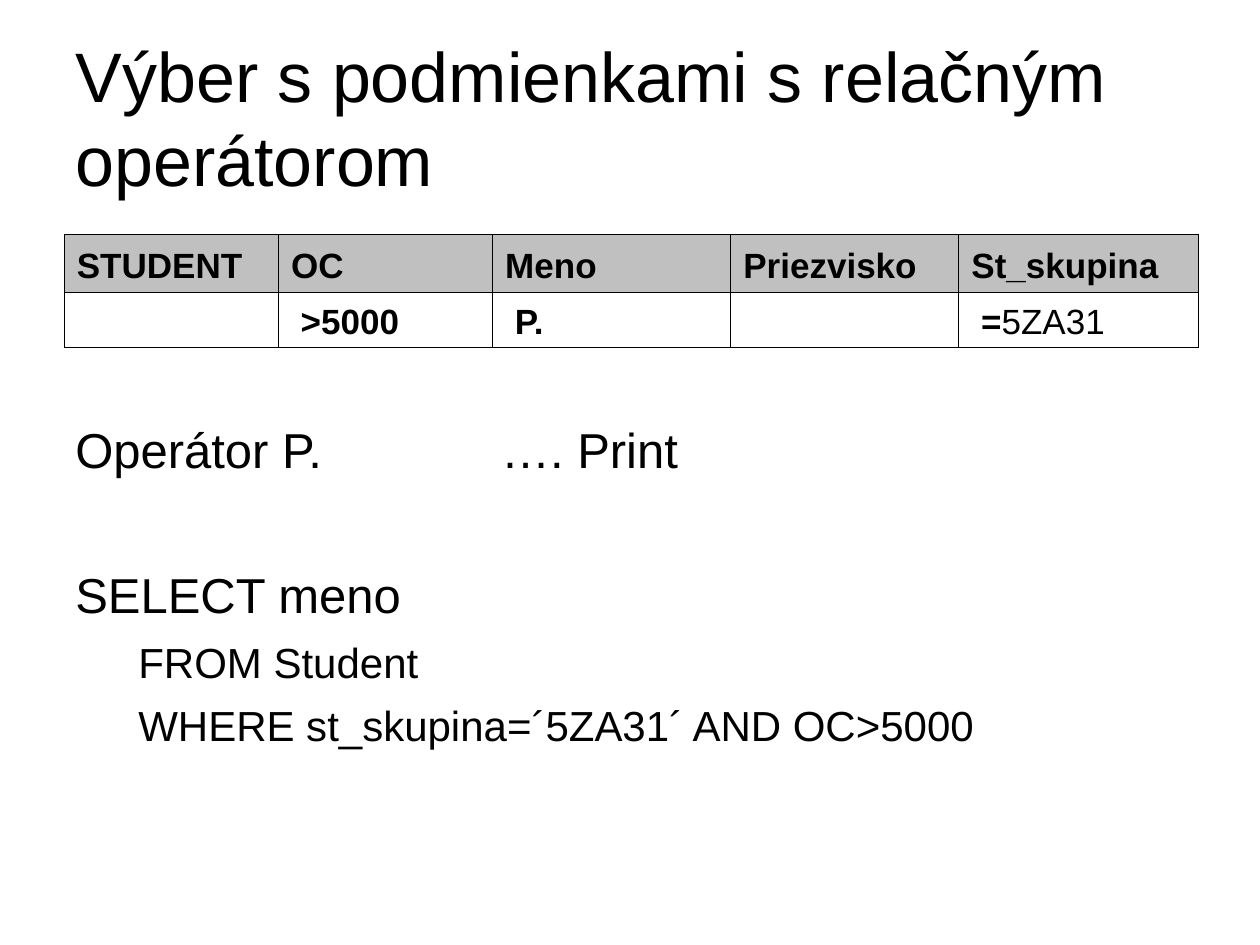
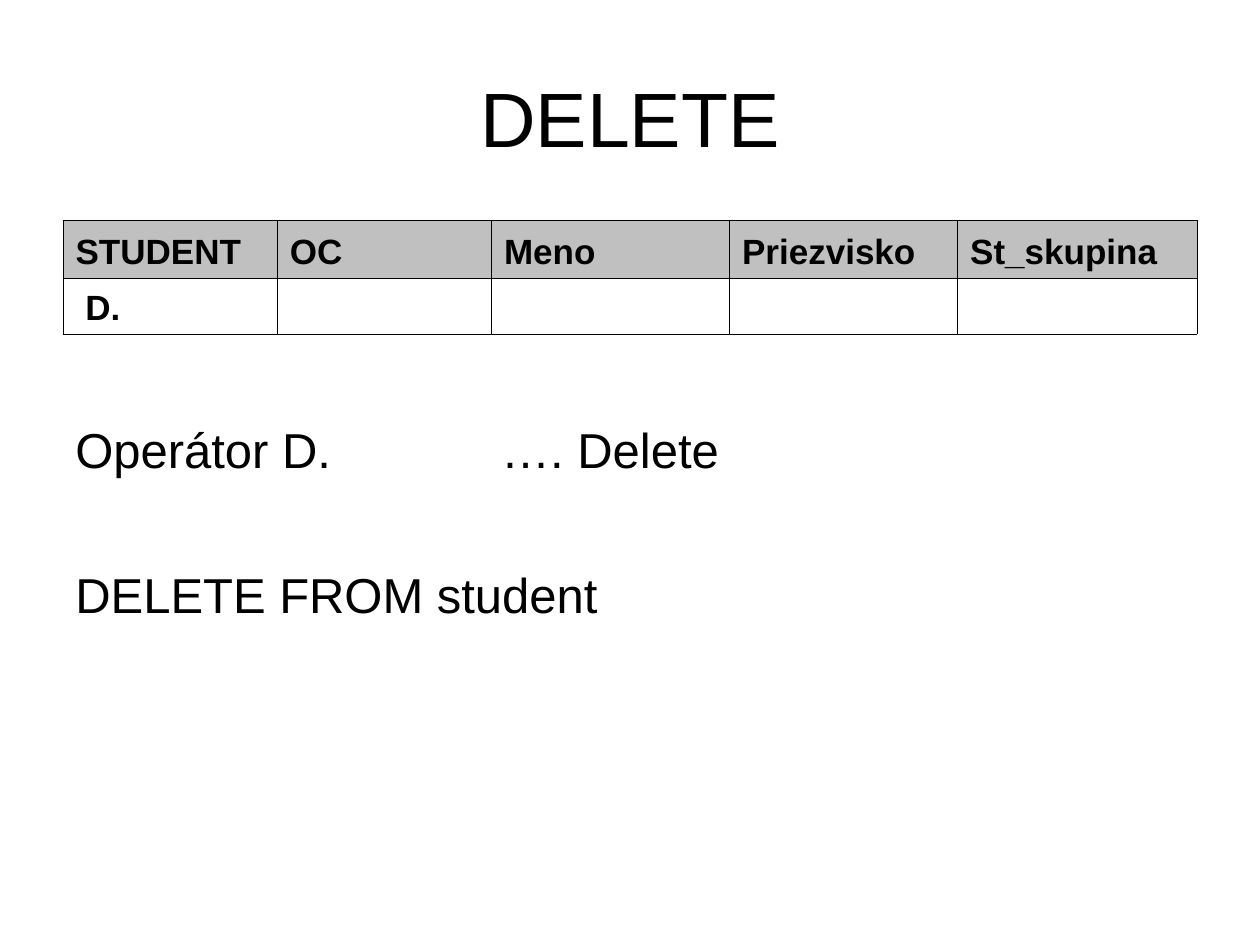
"""Build two slides on query by example: a selection and a deletion."""
from lxml import etree
from pptx import Presentation
from pptx.dml.color import RGBColor
from pptx.enum.text import MSO_ANCHOR, MSO_AUTO_SIZE, PP_ALIGN
from pptx.oxml.ns import qn
from pptx.util import Inches, Pt

LEFT, CENTER = PP_ALIGN.LEFT, PP_ALIGN.CENTER
MIDDLE, BOTTOM = MSO_ANCHOR.MIDDLE, MSO_ANCHOR.BOTTOM
FIXED = MSO_AUTO_SIZE.NONE
FONT, BLACK, GRAY, WHITE = "Arial", "000000", "C0C0C0", "FFFFFF"
WIDTHS = [1.7, 1.7, 1.89, 1.81, 1.9]
HEADS = ["STUDENT", "OC", "Meno", "Priezvisko", "St_skupina"]
TAB = 3.38


def write(para, text, size=20, bold=False, align=LEFT, before=0, indent=0):
    para.alignment = align
    para.space_before = Pt(before)
    para._p.get_or_add_pPr().set("marL", str(Inches(indent)))
    run = para.add_run()
    run.text = text
    font = run.font
    font.name, font.size, font.bold = FONT, Pt(size), bold
    font.color.rgb = RGBColor.from_string(BLACK)


def border(cell, side, width):
    line = etree.SubElement(cell._tc.get_or_add_tcPr(), qn("a:" + side), w=str(Pt(width)))
    fill = etree.SubElement(line, qn("a:solidFill"))
    etree.SubElement(fill, qn("a:srgbClr"), val=BLACK)


SLIDES = [
    dict(title="Výber s podmienkami s relačným operátorom", size=40, align=LEFT,
         left=0.51, top=1.86,
         cells=["", "\u00a0>5000", "\u00a0P.", "", "\u00a0="], value="5ZA31",
         lines=[("Operátor P.\t…. Print", 28, 0, 0),
                ("SELECT meno", 28, 49, 0),
                ("FROM Student", 24, 8, 0.5),
                ("WHERE st_skupina=´5ZA31´ AND OC>5000", 24, 7, 0.5)]),
    dict(title="DELETE", size=44, align=CENTER, left=0.5, top=1.75,
         cells=["\u00a0D.", "", "", "", ""], value="",
         lines=[("Operátor D.\t…. Delete", 28, 0, 0),
                ("DELETE FROM student", 28, 49, 0)]),
]

deck = Presentation()
deck.slide_width, deck.slide_height = Inches(10), Inches(7.5)

for data in SLIDES:
    slide = deck.slides.add_slide(deck.slide_layouts[5])

    title = slide.shapes.title
    title.left, title.top = Inches(0.5), Inches(0.3)
    title.width, title.height = Inches(9), Inches(1.25)
    frame = title.text_frame
    frame.auto_size, frame.vertical_anchor = FIXED, MIDDLE
    write(frame.paragraphs[0], data["title"], size=data["size"], align=data["align"])

    table = slide.shapes.add_table(2, len(HEADS), Inches(data["left"]), Inches(data["top"]),
                                   Inches(sum(WIDTHS)), Inches(0.9)).table
    for col, width in zip(table.columns, WIDTHS):
        col.width = Inches(width)
    for row, height in zip(table.rows, [0.46, 0.44]):
        row.height = Inches(height)
    for r, texts in enumerate([HEADS, data["cells"]]):
        for c, text in enumerate(texts):
            cell = table.cell(r, c)
            cell.vertical_anchor = BOTTOM
            for side in ["lnL", "lnR", "lnT", "lnB"]:
                inner = side == ("lnT" if r else "lnB")
                border(cell, side, 0.96 if inner else 0.45)
            cell.fill.solid()
            cell.fill.fore_color.rgb = RGBColor.from_string(WHITE if r else GRAY)
            if text:
                write(cell.text_frame.paragraphs[0], text, bold=True)
    if data["value"]:
        write(table.cell(1, 4).text_frame.paragraphs[0], data["value"])

    frame = slide.shapes.add_textbox(Inches(0.5), Inches(3.28), Inches(9), Inches(3.78)).text_frame
    frame.word_wrap = True
    for i, (text, size, before, indent) in enumerate(data["lines"]):
        para = frame.add_paragraph() if i else frame.paragraphs[0]
        write(para, text, size=size, before=before, indent=indent)
        if "\t" in text:
            tabs = etree.SubElement(para._p.get_or_add_pPr(), qn("a:tabLst"))
            etree.SubElement(tabs, qn("a:tab"), pos=str(Inches(TAB)), algn="l")

deck.save("out.pptx")
